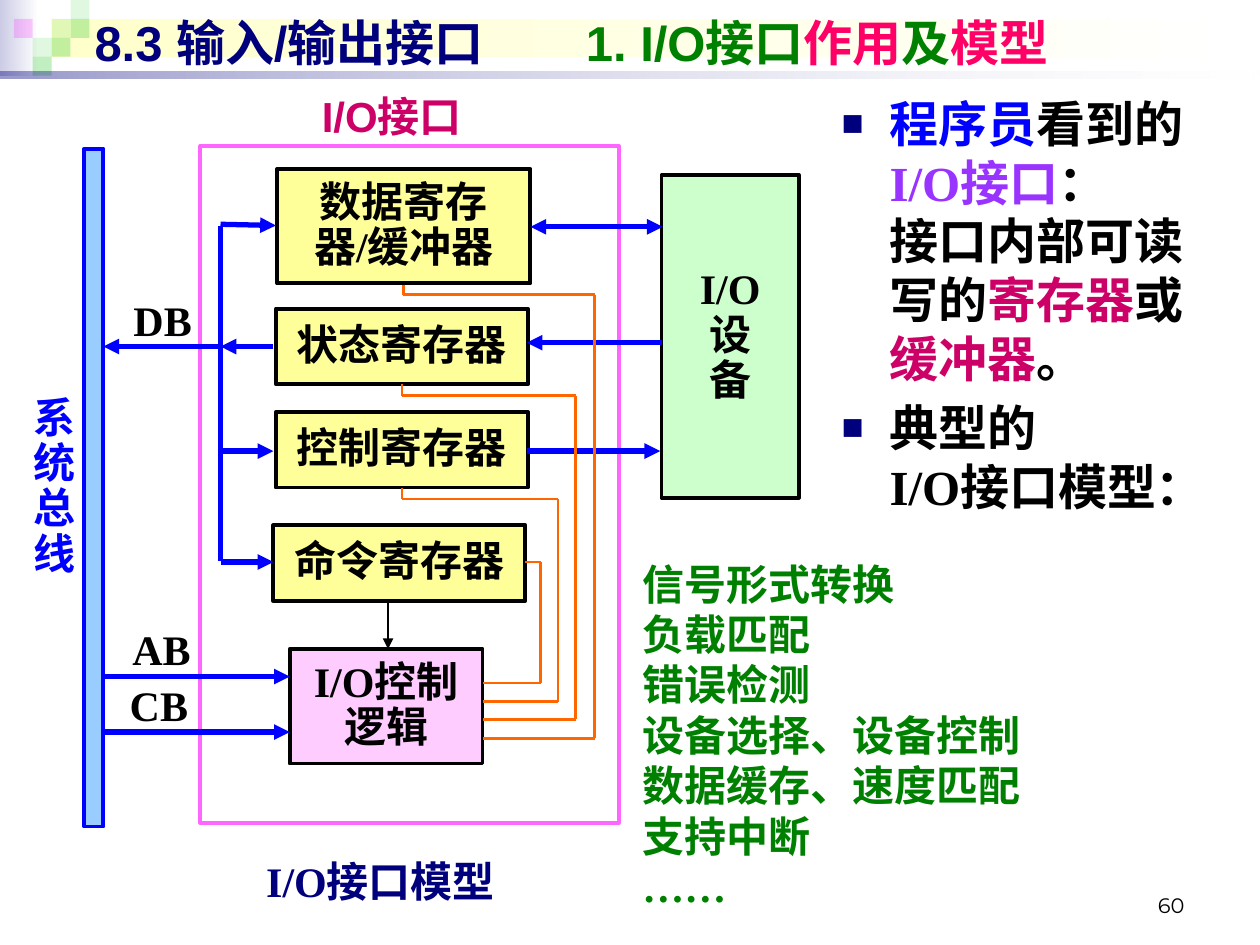
from lxml import etree
from pptx import Presentation
from pptx.dml.color import RGBColor
from pptx.enum.shapes import MSO_CONNECTOR, MSO_SHAPE
from pptx.enum.text import MSO_ANCHOR, MSO_AUTO_SIZE, PP_ALIGN
from pptx.oxml.ns import qn
from pptx.util import Inches, Pt

RECTANGLE = MSO_SHAPE.RECTANGLE
STRAIGHT = MSO_CONNECTOR.STRAIGHT
TOP, MIDDLE, BOTTOM = MSO_ANCHOR.TOP, MSO_ANCHOR.MIDDLE, MSO_ANCHOR.BOTTOM
LEFT, CENTER, RIGHT = PP_ALIGN.LEFT, PP_ALIGN.CENTER, PP_ALIGN.RIGHT
NO_AUTOFIT = MSO_AUTO_SIZE.NONE
SERIF, SANS, CHINESE = "Times New Roman", "Arial", "Noto Sans CJK SC"
BLACK, NAVY, BLUE, GREEN = "000000", "00007D", "0000FF", "008000"
CRIMSON, PINK, ORANGE, YELLOW = "CC0066", "FF0066", "FF6600", "FFFF99"


def color(hex_string):
    return RGBColor.from_string(hex_string)


def write(shape, paragraphs, size=24, font=SERIF, bold=True, align=CENTER,
          anchor=MIDDLE, spacing=0.9, inset=True):
    """Fill a shape with paragraphs, each a list of (text, colour) runs."""
    frame = shape.text_frame
    frame_format = {"word_wrap": True, "auto_size": NO_AUTOFIT, "vertical_anchor": anchor}
    if not inset:
        frame_format.update(dict.fromkeys(
            ("margin_left", "margin_right", "margin_top", "margin_bottom"), 0))
    for name, value in frame_format.items():
        setattr(frame, name, value)
    for index, runs in enumerate(paragraphs):
        paragraph = frame.add_paragraph() if index else frame.paragraphs[0]
        paragraph.alignment = align
        paragraph.line_spacing = spacing
        for text, run_color in runs:
            for line_number, line in enumerate(text.split("\n")):
                if line_number:
                    paragraph.add_line_break()
                run = paragraph.add_run()
                run.text = line
                for name, value in {"size": Pt(size), "bold": bold, "name": font}.items():
                    setattr(run.font, name, value)
                run.font.color.rgb = color(run_color)
                latin = run.font._element.find(qn("a:latin"))
                east_asian = etree.Element(qn("a:ea"), typeface=CHINESE)
                latin.addnext(east_asian)


presentation = Presentation()
presentation.slide_width, presentation.slide_height = Inches(10), Inches(7.5)
slide = presentation.slides.add_slide(presentation.slide_layouts[1])
shapes = slide.shapes

# Banner: gradient strips and translucent squares, as (colour, opacity) stops
UNIT = 0.15
banner = [
    (0, 0, 0.31, 0.6, [("CCCCE6", 100), ("FFFFFF", 100)]),
    (0.41, 0.15, 9.55, 0.3, [("FFFFCC", 100), ("FFFFFF", 100)]),
]
for column, row, square_color, opacity in [
    (2, 1, "33CC33", 15), (3, 0, "33CC33", 15), (3, 1, "33CC33", 30),
    (1, 2, "33CC33", 15), (0, 1, "FF00FF", 20), (2, 2, "33CC33", 30),
    (1, 3, "33CC33", 30),
]:
    banner.append((0.11 + column * UNIT, row * UNIT, UNIT, UNIT, [(square_color, opacity)]))
banner.append((0, 0.57, 10, 0.05, [(NAVY, 40), ("FFFFFF", 10)]))
for *place, stops in banner:
    shape = shapes.add_shape(RECTANGLE, *map(Inches, place))
    shape.shadow.inherit = False
    shape.line.fill.background()
    if len(stops) == 1:
        shape.fill.solid()
        shape.fill.fore_color.rgb = color(stops[0][0])
    else:
        shape.fill.gradient()
        shape.fill.gradient_angle = 0
        for gradient_stop, (stop_color, _) in zip(shape.fill.gradient_stops, stops):
            gradient_stop.color.rgb = color(stop_color)
    for element, (_, opacity) in zip(shape._element.iter(qn("a:srgbClr")), stops):
        etree.SubElement(element, qn("a:alpha"), val=str(opacity * 1000))

# Blocks of the interface model: place, fill, outline, lines of text
for *place, fill, outline, lines in [
    (1.59, 1.16, 3.32, 5.37, None, "FF66FF", []),
    (0.67, 1.18, 0.15, 5.38, "99CCFF", BLUE, []),
    (5.25, 1.39, 1.09, 2.56, "CCFFCC", BLACK, ["I/O", "设", "备"]),
    (2.2, 1.34, 2.01, 0.91, YELLOW, BLACK, ["数据寄存器/缓冲器"]),
    (2.19, 2.45, 2, 0.6, YELLOW, BLACK, ["状态寄存器"]),
    (2.19, 3.27, 2, 0.6, YELLOW, BLACK, ["控制寄存器"]),
    (2.17, 4.17, 2, 0.6, YELLOW, BLACK, ["命令寄存器"]),
    (2.3, 5.15, 1.53, 0.91, "FFCCFF", BLACK, ["I/O控制", "逻辑"]),
]:
    block = shapes.add_shape(RECTANGLE, *map(Inches, place))
    block.shadow.inherit = False
    block.line.color.rgb = color(outline)
    block.line.width = Pt(2.25)
    if fill:
        block.fill.solid()
        block.fill.fore_color.rgb = color(fill)
    else:
        block.fill.background()
    if lines:
        write(block, [[(line, BLACK)] for line in lines])

# Wires: start, end, colour, width, arrowheads
wires = [(*ends, BLUE, 3, ["tailEnd"]) for ends in [
    (1.75, 1.78, 2.19, 1.79), (1.75, 3.58, 2.17, 3.58), (1.75, 4.46, 2.17, 4.46),
    (2.17, 2.75, 1.75, 2.75), (1.73, 2.75, 0.82, 2.75),
    (0.82, 5.37, 2.3, 5.37), (0.8, 5.81, 2.3, 5.81),
    (5.25, 2.72, 4.18, 2.72), (4.18, 3.58, 5.24, 3.58),
]]
wires += [
    (1.75, 1.79, 1.75, 4.45, BLUE, 3, []),
    (4.21, 1.8, 5.26, 1.8, BLUE, 3, ["headEnd", "tailEnd"]),
    (3.08, 4.77, 3.08, 5.15, BLACK, 1.5, ["tailEnd"]),
]
for route in [
    [(3.2, 2.26), (3.2, 2.34), (4.72, 2.34), (4.72, 5.86), (3.83, 5.86)],
    [(3.19, 3.05), (3.19, 3.14), (4.57, 3.14), (4.57, 5.71), (3.83, 5.71)],
    [(3.19, 3.87), (3.19, 3.96), (4.43, 3.96), (4.43, 5.57), (3.83, 5.57)],
    [(4.17, 4.46), (4.29, 4.46), (4.29, 5.42), (3.83, 5.42)],
]:
    wires += [(*start, *end, ORANGE, 1.5, []) for start, end in zip(route, route[1:])]
for *ends, wire_color, width, arrowheads in wires:
    wire = shapes.add_connector(STRAIGHT, *map(Inches, ends))
    wire.line.color.rgb = color(wire_color)
    wire.line.width = Pt(width)
    for arrowhead in arrowheads:
        etree.SubElement(wire.line._get_or_add_ln(), qn(f"a:{arrowhead}"), type="triangle")
    etree.SubElement(wire._element.spPr, qn("a:effectLst"))

# Free-standing labels
functions = ["信号形式转换", "负载匹配", "错误检测", "设备选择、设备控制",
             "数据缓存、速度匹配", "支持中断", "……"]
tight = {"inset": False}
tight_left = {"inset": False, "align": LEFT}
for *place, label_color, lines, text_format in [
    (0.27, 2.8, 0.4, 2.14, BLUE, "系统总线", tight_left),
    (2.49, 0.76, 1.24, 0.36, CRIMSON, ["I/O接口"], {**tight, "font": SANS}),
    (1.21, 6.77, 3.62, 0.49, NAVY, ["I/O接口模型"], tight),
    (1.06, 2.36, 0.5, 0.4, BLACK, ["DB"], tight_left),
    (1.05, 4.97, 0.5, 0.4, BLACK, ["AB"], tight_left),
    (1.03, 5.42, 0.5, 0.4, BLACK, ["CB"], tight_left),
    (5, 4.38, 3.41, 2.93, GREEN, functions, {"align": LEFT, "anchor": TOP, "spacing": 1.0}),
    (7.17, 6.83, 2.33, 0.5, BLACK, ["60"],
     {"size": 12, "font": "Montserrat", "bold": False, "align": RIGHT,
      "anchor": BOTTOM, "spacing": 1.0}),
]:
    label = shapes.add_textbox(*map(Inches, place))
    write(label, [[(line, label_color)] for line in lines], **text_format)

# Title and body, brought in front of the banner
title, body = shapes.title, slide.placeholders[1]
for placeholder, place in [(title, (0.65, 0.05, 9, 0.57)), (body, (6.58, 0.69, 3.07, 3.61))]:
    placeholder.left, placeholder.top, placeholder.width, placeholder.height = map(Inches, place)
    shapes._spTree.append(placeholder._element)

write(title, [[("8.3 输入/输出接口\t", NAVY), ("1. I/O接口", GREEN), ("作用", PINK),
               ("及", GREEN), ("模型", PINK)]],
      size=28, font=SANS, align=LEFT, spacing=1.0)
tabs = etree.SubElement(title.text_frame.paragraphs[0]._p.get_or_add_pPr(), qn("a:tabLst"))
etree.SubElement(tabs, qn("a:tab"), pos=str(Inches(3.9)), algn="l")

write(body, [
    [("程序员", BLUE), ("看到的", BLACK), ("I/O接口", "9933FF"),
     ("：\n接口内部可读写的", BLACK), ("寄存器", CRIMSON), ("或", BLACK),
     ("缓冲器", CRIMSON), ("。", BLACK)],
    [("典型的\nI/O接口模型：", BLACK)],
], size=28, align=LEFT, anchor=TOP, spacing=1.0)
for index, paragraph in enumerate(body.text_frame.paragraphs):
    paragraph.space_before = Pt(5.6 if index else 0)
    properties = paragraph._p.get_or_add_pPr()
    properties.set("marL", str(Inches(0.38)))
    properties.set("indent", str(Inches(-0.38)))
    bullet_color = etree.SubElement(properties, qn("a:buClr"))
    etree.SubElement(bullet_color, qn("a:srgbClr"), val=NAVY)
    etree.SubElement(properties, qn("a:buSzPct"), val="75000")
    etree.SubElement(properties, qn("a:buFont"), typeface=SANS)
    etree.SubElement(properties, qn("a:buChar"), char="■")

presentation.save("out.pptx")
